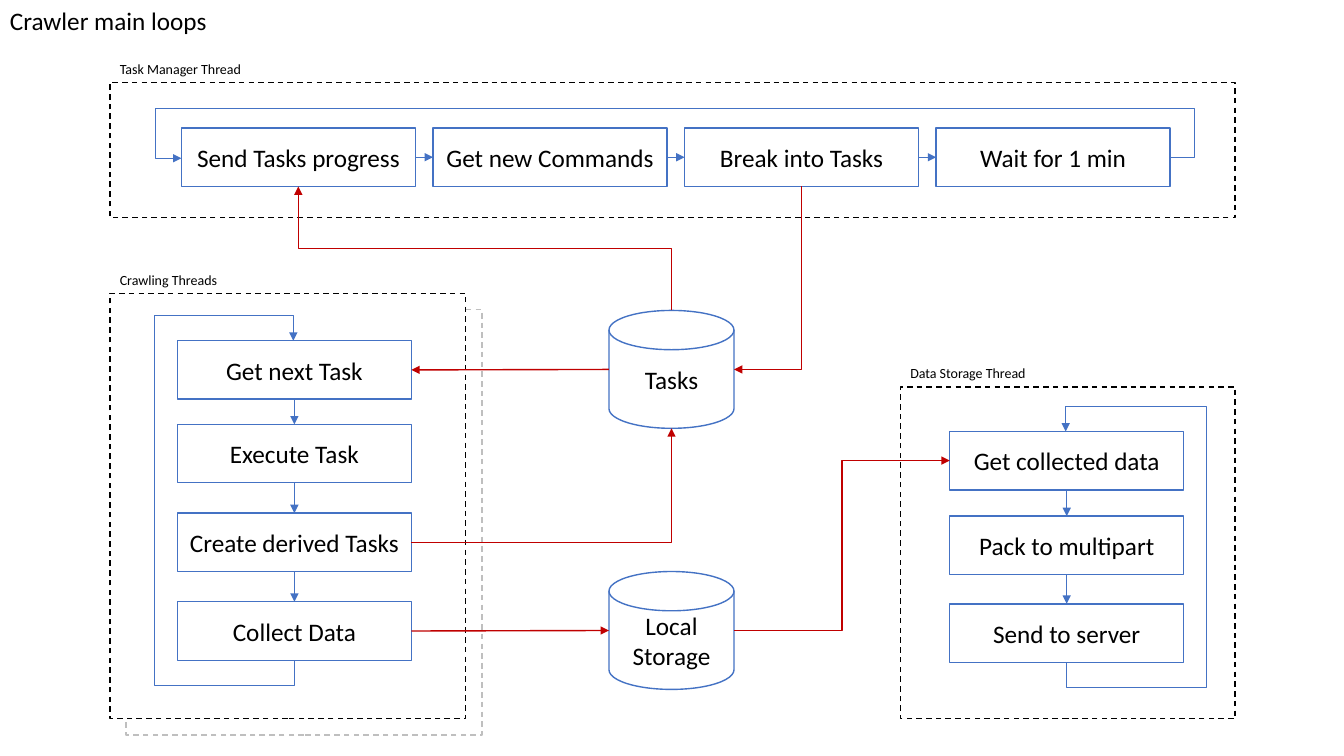
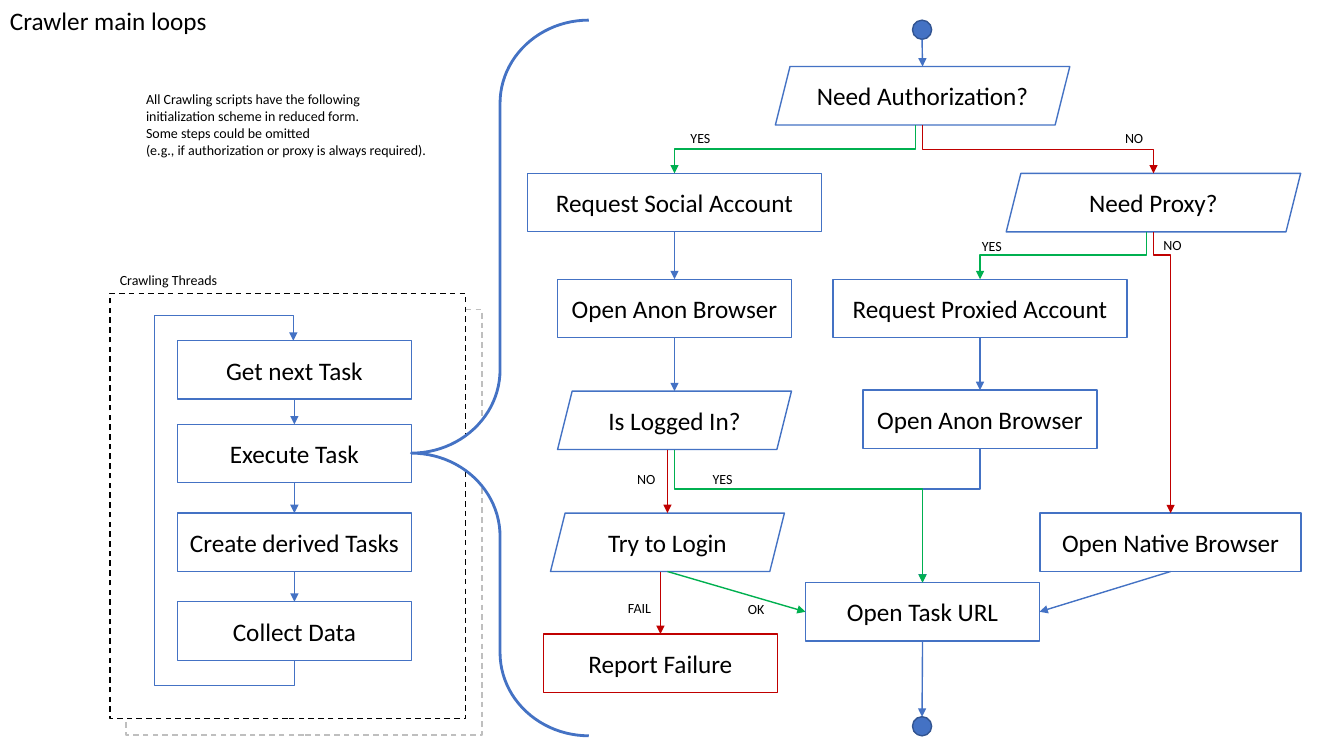
from pptx import Presentation
from pptx.dml.color import RGBColor
from pptx.enum.dml import MSO_LINE
from pptx.enum.shapes import MSO_CONNECTOR, MSO_SHAPE
from pptx.enum.text import MSO_ANCHOR, MSO_AUTO_SIZE, PP_ALIGN
from pptx.oxml.ns import qn
from pptx.util import Inches, Pt
from lxml import etree

RECT, DECISION = MSO_SHAPE.RECTANGLE, MSO_SHAPE.PARALLELOGRAM
DISK, DOT, BRACE = MSO_SHAPE.FLOWCHART_MAGNETIC_DISK, MSO_SHAPE.OVAL, MSO_SHAPE.LEFT_BRACE
STRAIGHT, ELBOW = MSO_CONNECTOR.STRAIGHT, MSO_CONNECTOR.ELBOW
DASH = MSO_LINE.DASH
MIDDLE, CENTER = MSO_ANCHOR.MIDDLE, PP_ALIGN.CENTER
FIT_SHAPE = MSO_AUTO_SIZE.SHAPE_TO_FIT_TEXT

BLACK = RGBColor(0x00, 0x00, 0x00)
WHITE = RGBColor(0xFF, 0xFF, 0xFF)
GREY = RGBColor(0xBF, 0xBF, 0xBF)
BLUE = RGBColor(0x44, 0x72, 0xC4)
NAVY = RGBColor(0x32, 0x54, 0x91)
RED = RGBColor(0xC0, 0x00, 0x00)
GREEN = RGBColor(0x00, 0xB0, 0x50)

FONT = "Calibri"
NODE_W, NODE_H, WIDE_W = 2.32, 0.58, 2.92
LABEL_H = 0.27
LOOP_GAP = 0.25
BRANCH = 0.07
TOP, LEFT, BOTTOM, RIGHT = range(4)


def style_text(tf, size):
    """Give every run of a text frame the deck font."""
    for p in tf.paragraphs:
        for r in p.runs:
            r.font.name, r.font.size, r.font.color.rgb = FONT, Pt(size), BLACK


def shape(s, kind, x, y, w, h, line=BLUE, fill=WHITE, text=""):
    """Add a filled, outlined shape with centred text."""
    sp = s.shapes.add_shape(kind, Inches(x), Inches(y), Inches(w), Inches(h))
    sp.shadow.inherit = False
    sp.fill.solid()
    sp.fill.fore_color.rgb = fill
    sp.line.color.rgb = line
    sp.line.width = Pt(1)
    if text:
        tf = sp.text_frame
        tf.text = text
        tf.vertical_anchor = MIDDLE
        for p in tf.paragraphs:
            p.alignment = CENTER
        style_text(tf, 18)
    return sp


def node(s, text, cx, y, w=NODE_W, kind=RECT, line=BLUE):
    """Add a flow step centred on cx."""
    return shape(s, kind, cx - w / 2, y, w, NODE_H, line, text=text)


def label(s, text, x, y, w, h=LABEL_H, size=10, wrap=False):
    """Add a plain text box."""
    tb = s.shapes.add_textbox(Inches(x), Inches(y), Inches(w), Inches(h))
    tf = tb.text_frame
    tf.text = text
    tf.word_wrap = wrap
    tf.auto_size = FIT_SHAPE
    style_text(tf, size)


def frame(s, x, y, w, h, line=BLACK):
    """Add a dashed frame."""
    shape(s, RECT, x, y, w, h, line).line.dash_style = DASH


def thread(s, title, x, y, w, h):
    """Add a dashed frame with its title above."""
    frame(s, x, y, w, h)
    label(s, title, x, y - LABEL_H, 1.44)


def port(sp, side, shift=0):
    """Return the middle of one side of a shape, in inches."""
    x, y, w, h = (v.inches for v in (sp.left, sp.top, sp.width, sp.height))
    fx, fy = {TOP: (0.5, 0), LEFT: (0, 0.5), BOTTOM: (0.5, 1), RIGHT: (1, 0.5)}[side]
    return x + w * fx + shift, y + h * fy


def bend(c, points, upright):
    """Turn a connector into the elbow that follows the points."""
    (x0, y0), vias = points[0], points[1:]
    local = [(y - y0, x0 - x) if upright else (x - x0, y - y0) for x, y in vias]
    w, h = local[-1]
    xfrm = c._element.spPr.find(qn("a:xfrm"))
    if upright:
        xfrm.set("rot", "5400000")
    for name, size in (("flipH", w), ("flipV", h)):
        if size < 0:
            xfrm.set(name, "1")
    geom = c._element.spPr.find(qn("a:prstGeom"))
    geom.set("prst", f"bentConnector{len(vias)}")
    guides = geom.find(qn("a:avLst"))
    if guides is None:
        guides = etree.SubElement(geom, qn("a:avLst"))
    for i, (u, v) in enumerate(local[:-2]):
        ratio = v / h if i % 2 else u / w
        etree.SubElement(guides, qn("a:gd"), name=f"adj{i + 1}",
                         fmla=f"val {round(ratio * 100000)}")


def arrow(s, *points, color=BLUE):
    """Add a connector through the points, with an arrowhead at the last."""
    (x0, y0), (x1, y1) = points[0], points[-1]
    if len(points) == 2:
        c = s.shapes.add_connector(STRAIGHT, *map(Inches, (x0, y0, x1, y1)))
    else:
        upright = abs(points[1][0] - x0) < 0.001
        w, h = abs(x1 - x0), abs(y1 - y0)
        if upright:
            w, h = h, w
        x, y = (x0 + x1 - w) / 2, (y0 + y1 - h) / 2
        c = s.shapes.add_connector(ELBOW, *map(Inches, (x, y, x + w, y + h)))
        bend(c, points, upright)
    c.line.color.rgb = color
    c.line.width = Pt(1)
    spPr = c._element.spPr
    etree.SubElement(spPr.find(qn("a:ln")), qn("a:tailEnd"), type="triangle")
    etree.SubElement(spPr, qn("a:effectLst"))
    return c


def step(s, start, end, y, color=BLUE):
    """Add an arrow that runs down, across at y, and down again."""
    arrow(s, start, (start[0], y), (end[0], y), end, color=color)


def chain(s, nodes, out=BOTTOM, into=TOP):
    """Glue an arrow between each node and the next."""
    for a, b in zip(nodes, nodes[1:]):
        c = arrow(s, port(a, out), port(b, into))
        c.begin_connect(a, out)
        c.end_connect(b, into)


def column_loop(s, steps, cx, side):
    """Add a column of steps whose last one returns to the first by way of side."""
    nodes = [node(s, text, cx, y) for text, y in steps]
    chain(s, nodes)
    x, bottom = port(nodes[-1], BOTTOM)
    end, top = port(nodes[0], TOP, -0.01)
    low, high = bottom + LOOP_GAP, top - LOOP_GAP
    arrow(s, (x, bottom), (x, low), (side, low), (side, high), (end, high), (end, top))
    return nodes


def task_manager(s, x, y, w, h):
    """Draw the row of task manager steps and its loop."""
    thread(s, "Task Manager Thread", x, y, w, h)
    names = ["Send Tasks progress", "Get new Commands", "Break into Tasks", "Wait for 1 min"]
    nodes = [node(s, t, x + 1.87 + 2.495 * i, y + 0.45) for i, t in enumerate(names)]
    chain(s, nodes, RIGHT, LEFT)
    (x0, y0), (x1, y1) = port(nodes[-1], RIGHT), port(nodes[0], LEFT)
    right, left, top, y1 = x0 + LOOP_GAP, x1 - LOOP_GAP, y + LOOP_GAP, y1 + 0.01
    arrow(s, (x0, y0), (right, y0), (right, top), (left, top), (left, y1), (x1, y1))
    return nodes


def crawling(s, x, y, w, h):
    """Draw the stacked crawling threads."""
    frame(s, x + 0.16, y + 0.16, w, h, GREY)
    thread(s, "Crawling Threads", x, y, w, h)
    steps = [("Get next Task", y + 0.47), ("Execute Task", y + 1.3),
             ("Create derived Tasks", y + 2.18), ("Collect Data", y + 3.06)]
    return column_loop(s, steps, x + 1.83, x + 0.42)


def data_storage(s, x, y, w, h):
    """Draw the data storage thread."""
    thread(s, "Data Storage Thread", x, y, w, h)
    steps = [("Get collected data", y + 0.44), ("Pack to multipart", y + 1.28),
             ("Send to server", y + 2.15)]
    return column_loop(s, steps, x + 1.65, x + 3.06)


def stores(s, x, y):
    """Draw the two stores, one under the other."""
    return [shape(s, DISK, x, y + dy, 1.24, 1.17, text=t)
            for t, dy in (("Tasks", 0), ("Local\nStorage", 2.59))]


def data_links(s, manager, crawl, storage, tasks, local):
    """Connect the threads with the stores."""
    send, split = manager[0], manager[2]
    arrow(s, port(tasks, LEFT), port(crawl[0], RIGHT), color=RED)
    arrow(s, port(crawl[3], RIGHT), port(local, LEFT), color=RED)
    start, end = port(tasks, TOP), port(send, BOTTOM)
    step(s, start, end, (start[1] + end[1]) / 2, RED)
    for start, end in ((port(split, BOTTOM), port(tasks, RIGHT)),):
        arrow(s, start, (start[0], end[1]), end, color=RED)
    start, end = port(crawl[2], RIGHT), port(tasks, BOTTOM)
    arrow(s, start, (end[0], start[1]), end, color=RED)
    start, end = port(local, RIGHT), port(storage[0], LEFT)
    mid = (start[0] + end[0]) / 2
    arrow(s, start, (mid, start[1]), (mid, end[1]), end, color=RED)


def initialization(s, x, y):
    """Draw the initialization flow from its top left corner."""
    left, main, proxy, right = x + 1.46, x + 3.92, x + 4.49, x + 6.21
    begin, finish = [shape(s, DOT, main - 0.1, y + dy, 0.19, 0.19, NAVY, BLUE)
                     for dy in (0, 6.91)]
    auth = node(s, "Need Authorization?", main, y + 0.46, WIDE_W, DECISION)
    account = node(s, "Request Social Account", left, y + 1.52, WIDE_W)
    browser = node(s, "Open Anon Browser", left, y + 2.57)
    logged = node(s, "Is Logged In?", left, y + 3.68, kind=DECISION)
    login = node(s, "Try to Login", left - BRANCH, y + 4.89, kind=DECISION)
    failure = node(s, "Report Failure", left - 2 * BRANCH, y + 6.09, line=RED)
    need = node(s, "Need Proxy?", right, y + 1.52, WIDE_W, DECISION)
    proxied = node(s, "Request Proxied Account", proxy, y + 2.57, WIDE_W)
    proxied_browser = node(s, "Open Anon Browser", proxy, y + 3.67)
    native = node(s, "Open Native Browser", right + 0.17, y + 4.89, 2.59)
    url = node(s, "Open Task URL", main, y + 5.58)

    chain(s, [account, browser])
    chain(s, [proxied, proxied_browser])
    for a, b in ((begin, auth), (browser, logged), (url, finish)):
        arrow(s, port(a, BOTTOM), port(b, TOP))
    arrow(s, port(native, BOTTOM), port(url, RIGHT))
    arrow(s, port(login, BOTTOM), port(url, LEFT), color=GREEN)
    for a, b in ((logged, login), (login, failure)):
        arrow(s, port(a, BOTTOM, -BRANCH), port(b, TOP), color=RED)
    for a, shift, b, dy, color in (
            (auth, -BRANCH, account, 1.28, GREEN), (auth, 0, need, 1.28, RED),
            (need, -BRANCH, proxied, 2.33, GREEN), (need, 0, native, 2.33, RED),
            (proxied_browser, 0, url, 4.65, BLUE), (logged, 0, url, 4.65, GREEN)):
        step(s, port(a, BOTTOM, shift), port(b, TOP), y + dy, color)
    for text, dx, dy in (("YES", 1.52, 1.04), ("NO", 5.83, 1.04), ("YES", 4.41, 2.11),
                         ("NO", 6.21, 2.1), ("NO", 0.99, 4.42), ("YES", 1.74, 4.42),
                         ("FAIL", 0.9, 5.7), ("OK", 2.09, 5.71)):
        label(s, text, x + dx, y + dy, 0.44 if text == "FAIL" else 0.4)


def new_slide(prs):
    """Add a titled blank slide with the crawling threads."""
    s = prs.slides.add_slide(prs.slide_layouts[6])
    label(s, "Crawler main loops", 0, 0, 2.17, 0.4, 18)
    return s, crawling(s, 1.09, 2.91, 3.53, 4.22)


def loops_slide(prs):
    """Build the overview of all threads."""
    s, crawl = new_slide(prs)
    manager = task_manager(s, 1.09, 0.82, 11.16, 1.34)
    storage = data_storage(s, 8.93, 3.84, 3.32, 3.29)
    data_links(s, manager, crawl, storage, *stores(s, 6.04, 3.08))


def execution_slide(prs):
    """Build the detail of the task execution step."""
    s, crawl = new_slide(prs)
    brace = shape(s, BRACE, port(crawl[1], RIGHT)[0], 0.2, 1.76, 7.1)
    brace.adjustments[0], brace.adjustments[1] = 0.469, 0.605
    brace.line.width = Pt(2)
    initialization(s, 5.23, 0.2)
    note = ("All Crawling scripts have the following initialization scheme in reduced form.\n"
            "Some steps could be omitted\n"
            "(e.g., if authorization or proxy is always required).")
    label(s, note, 1.35, 0.85, 3.02, 0.77, wrap=True)


prs = Presentation()
prs.slide_width, prs.slide_height = Inches(13.33), Inches(7.5)
loops_slide(prs)
execution_slide(prs)
prs.save("out.pptx")
